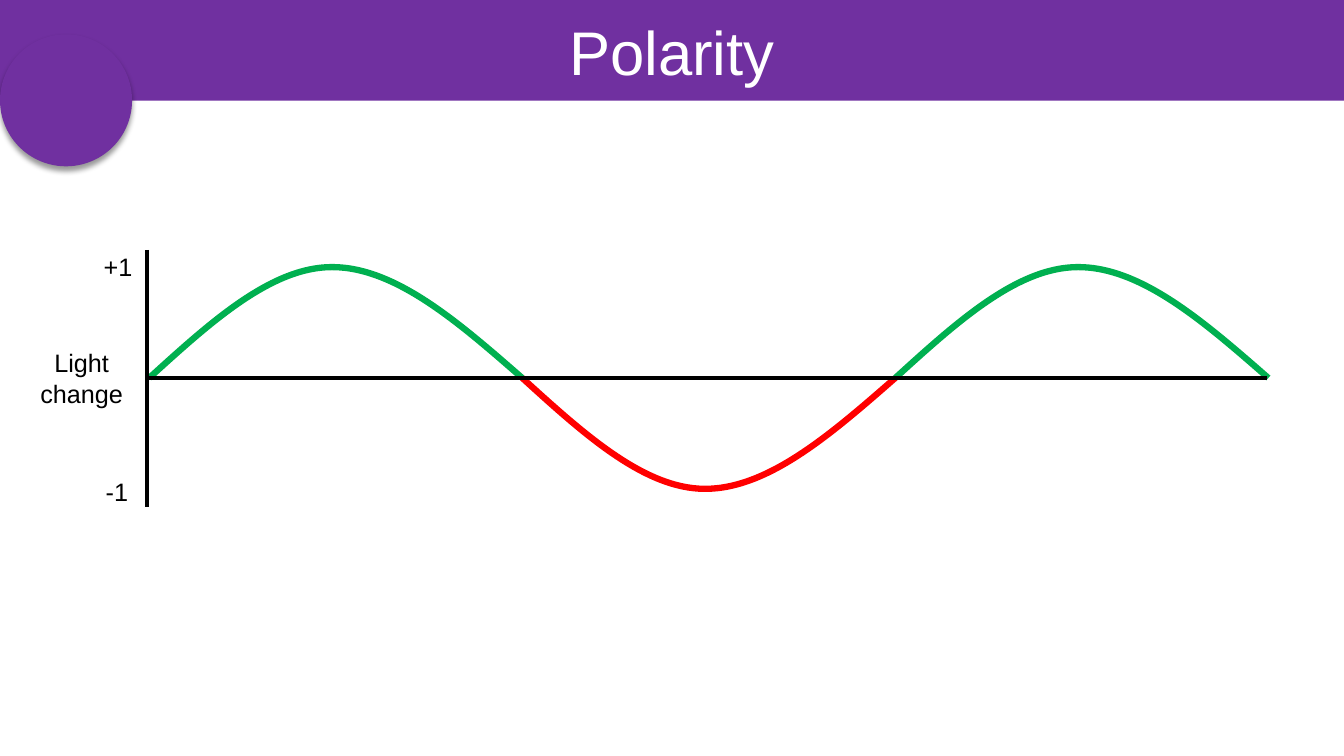
"""Build the Polarity slide: a light-change wave with positive and negative lobes."""
import lxml.etree
import pptx
import pptx.dml.color
import pptx.enum.shapes
import pptx.enum.text
import pptx.oxml.ns
import pptx.util

TITLE = "Polarity"
COLORS = {"purple": "7030A0", "green": "00B050", "red": "FF0000", "black": "000000", "white": "FFFFFF"}
FONT = "Arial"
WIDTH, HEIGHT = 13.33, 7.5
BANNER_HEIGHT = 1
CIRCLE_TOP, CIRCLE_SIZE = 0.34, 1.31
MIDDLE = HEIGHT / 2
AXIS_X, AXIS_LENGTH = 1.46, 1.28
WAVE_LEFT, LOBE_WIDTH, AMPLITUDE = 1.48, 3.7, 1.1
PEAK_SHARE = 0.49
CURVE_RISES = [(0.5, 1), (0, 0.5)]
LOBES = [("green", 1), ("red", -1), ("green", 1)]
AXES = [
    ((1.44, MIDDLE), (12.57, MIDDLE), 2.25),
    ((AXIS_X, 2.48), (AXIS_X, 2.48 + AXIS_LENGTH), 3),
    ((AXIS_X, MIDDLE), (AXIS_X, MIDDLE + AXIS_LENGTH), 3),
]
LABELS = [
    ("Light change", 0.26, 3.4, 1.1, 0.71),
    ("+1", 0.9, 2.44, 0.54, 0.4),
    ("-1", 0.89, 4.68, 0.54, 0.4),
]


def inches(*lengths):
    return [pptx.util.Inches(length) for length in lengths]


def color(name):
    return pptx.dml.color.RGBColor.from_string(COLORS[name])


def write(shape, text, size, color_name):
    paragraph = shape.text_frame.paragraphs[0]
    paragraph.text = text
    paragraph.alignment = pptx.enum.text.PP_ALIGN.CENTER
    paragraph.font.name = FONT
    paragraph.font.size = pptx.util.Pt(size)
    paragraph.font.color.rgb = color(color_name)


def set_line(shape, color_name, points):
    shape.line.color.rgb = color(color_name)
    shape.line.width = pptx.util.Pt(points)


def add_purple(slide, kind, *box):
    shape = slide.shapes.add_shape(kind, *inches(*box))
    shape.shadow.inherit = False
    shape.fill.solid()
    shape.fill.fore_color.rgb = color("purple")
    shape.line.fill.background()
    return shape


def add_soft_shadow(shape):
    name = pptx.oxml.ns.qn
    effects = shape.element.spPr.find(name("a:effectLst"))
    shadow = lxml.etree.SubElement(
        effects, name("a:outerShdw"), blurRad=str(pptx.util.Pt(4)),
        dist=str(pptx.util.Pt(3)), dir="5400000", rotWithShape="0")
    tint = lxml.etree.SubElement(shadow, name("a:srgbClr"), val=COLORS["black"])
    lxml.etree.SubElement(tint, name("a:alpha"), val="40000")


def bend_segments(shape):
    name = pptx.oxml.ns.qn
    points = [(int(point.get("x")), int(point.get("y"))) for point in shape.element.iter(name("a:pt"))]
    segments = list(shape.element.iter(name("a:lnTo")))
    for segment, start, end, rises in zip(segments, points, points[1:], CURVE_RISES):
        curve = lxml.etree.Element(name("a:cubicBezTo"))
        for x_share, y_share in zip((1 / 3, 2 / 3, 1), (*rises, 1)):
            x = round(start[0] + x_share * (end[0] - start[0]))
            y = round(start[1] + y_share * (end[1] - start[1]))
            lxml.etree.SubElement(curve, name("a:pt"), x=str(x), y=str(y))
        segment.getparent().replace(segment, curve)


def add_lobe(slide, index, color_name, sign):
    left = WAVE_LEFT + index * LOBE_WIDTH
    peak = inches(left + PEAK_SHARE * LOBE_WIDTH, MIDDLE - sign * AMPLITUDE)
    builder = slide.shapes.build_freeform(*inches(left, MIDDLE))
    builder.add_line_segments([peak, inches(left + LOBE_WIDTH, MIDDLE)], close=False)
    lobe = builder.convert_to_shape()
    bend_segments(lobe)
    lobe.shadow.inherit = False
    lobe.fill.background()
    set_line(lobe, color_name, 4.5)


def add_axis(slide, start, end, points):
    axis = slide.shapes.add_connector(
        pptx.enum.shapes.MSO_CONNECTOR.STRAIGHT, *inches(*start, *end))
    lxml.etree.SubElement(axis.element.spPr, pptx.oxml.ns.qn("a:effectLst"))
    set_line(axis, "black", points)


def add_label(slide, text, *box):
    label = slide.shapes.add_textbox(*inches(*box))
    label.text_frame.word_wrap = True
    label.text_frame.auto_size = pptx.enum.text.MSO_AUTO_SIZE.SHAPE_TO_FIT_TEXT
    write(label, text, 18, "black")


def main():
    presentation = pptx.Presentation()
    presentation.slide_width, presentation.slide_height = inches(WIDTH, HEIGHT)
    slide = presentation.slides.add_slide(presentation.slide_layouts[6])
    kinds = pptx.enum.shapes.MSO_SHAPE
    banner = add_purple(slide, kinds.RECTANGLE, 0, 0, WIDTH, BANNER_HEIGHT)
    banner.text_frame.vertical_anchor = pptx.enum.text.MSO_ANCHOR.MIDDLE
    write(banner, TITLE, 44, "white")
    add_soft_shadow(add_purple(slide, kinds.OVAL, 0, CIRCLE_TOP, CIRCLE_SIZE, CIRCLE_SIZE))
    for index, (color_name, sign) in enumerate(LOBES):
        add_lobe(slide, index, color_name, sign)
    for start, end, points in AXES:
        add_axis(slide, start, end, points)
    for text, *box in LABELS:
        add_label(slide, text, *box)
    presentation.save("out.pptx")


if __name__ == "__main__":
    main()
